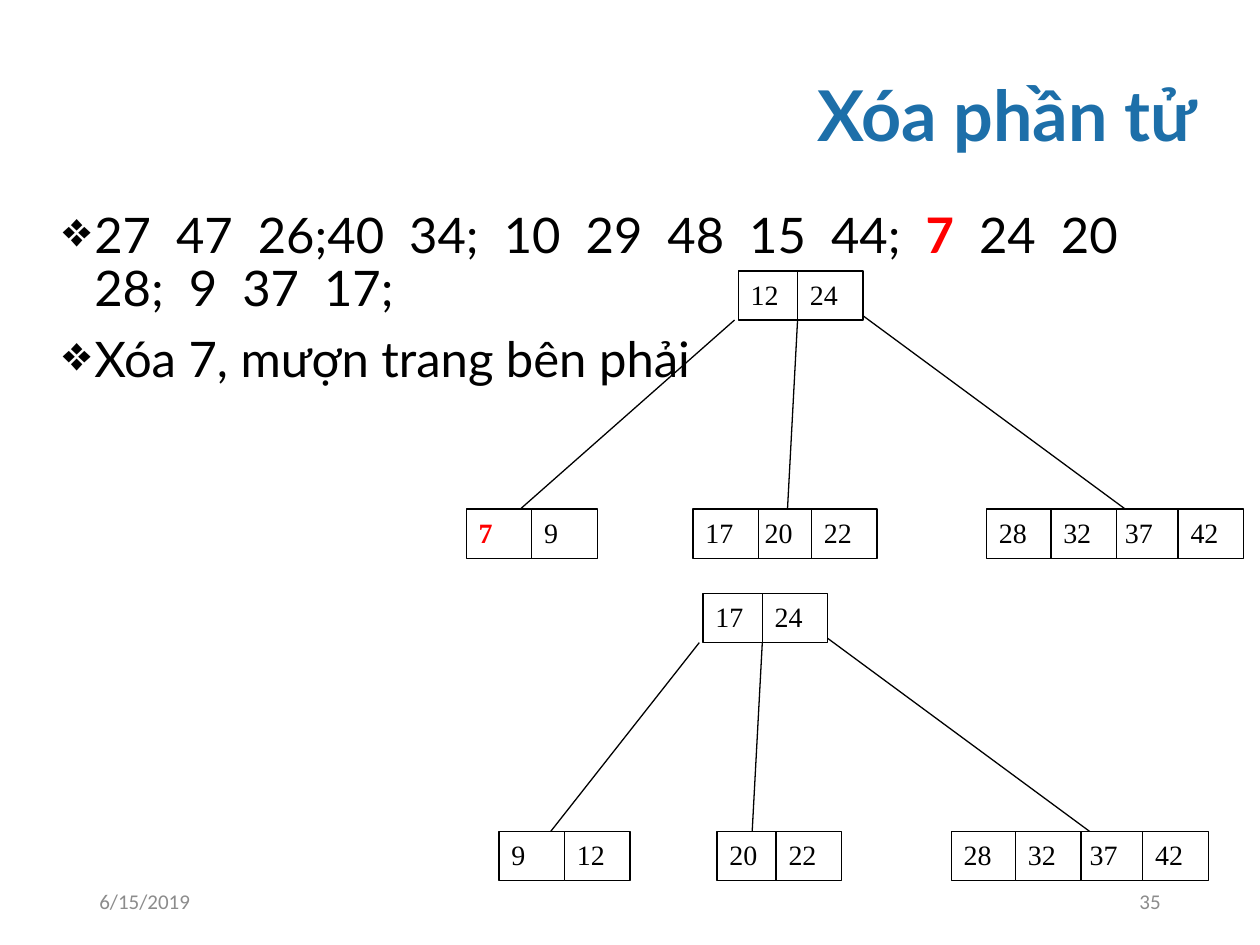
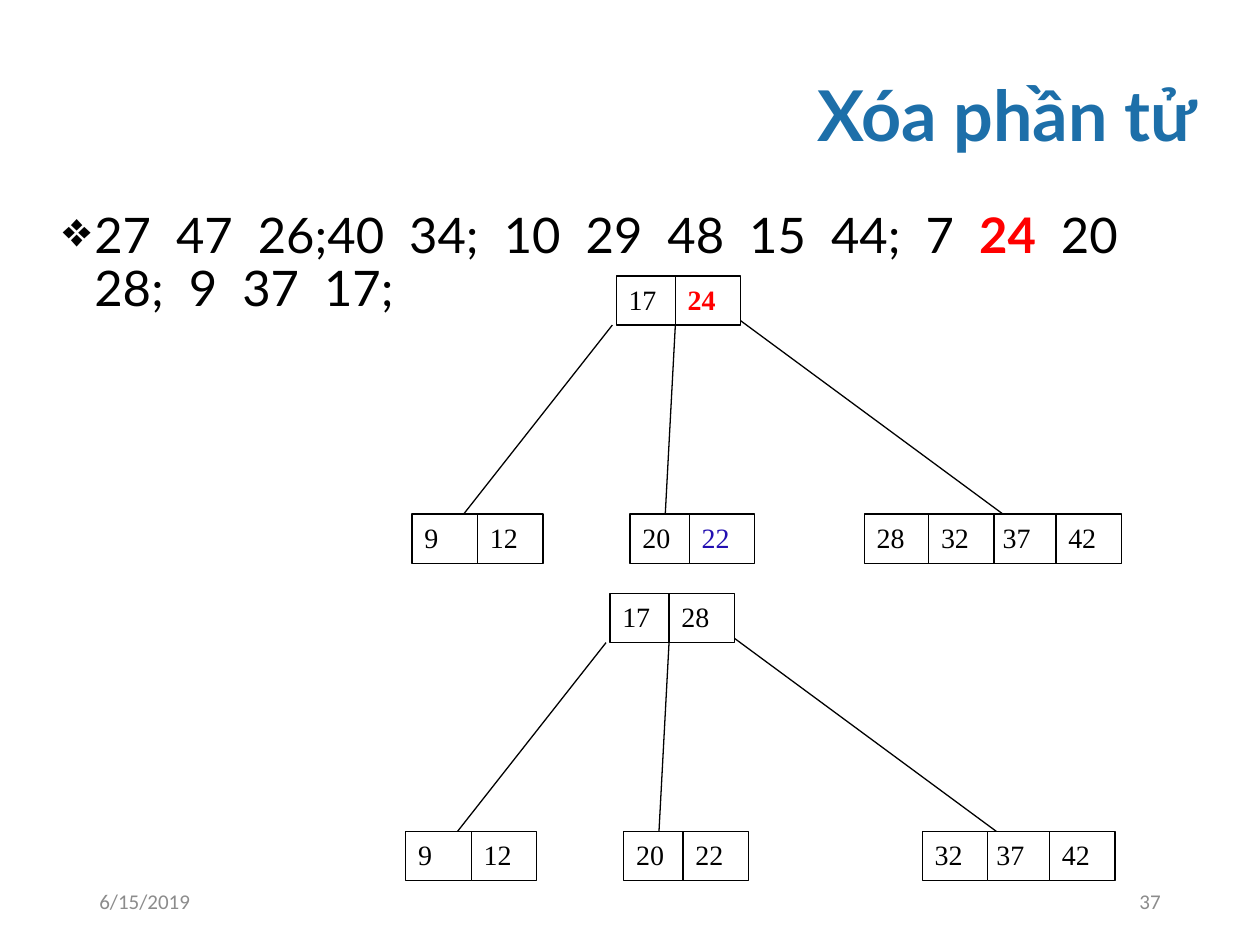
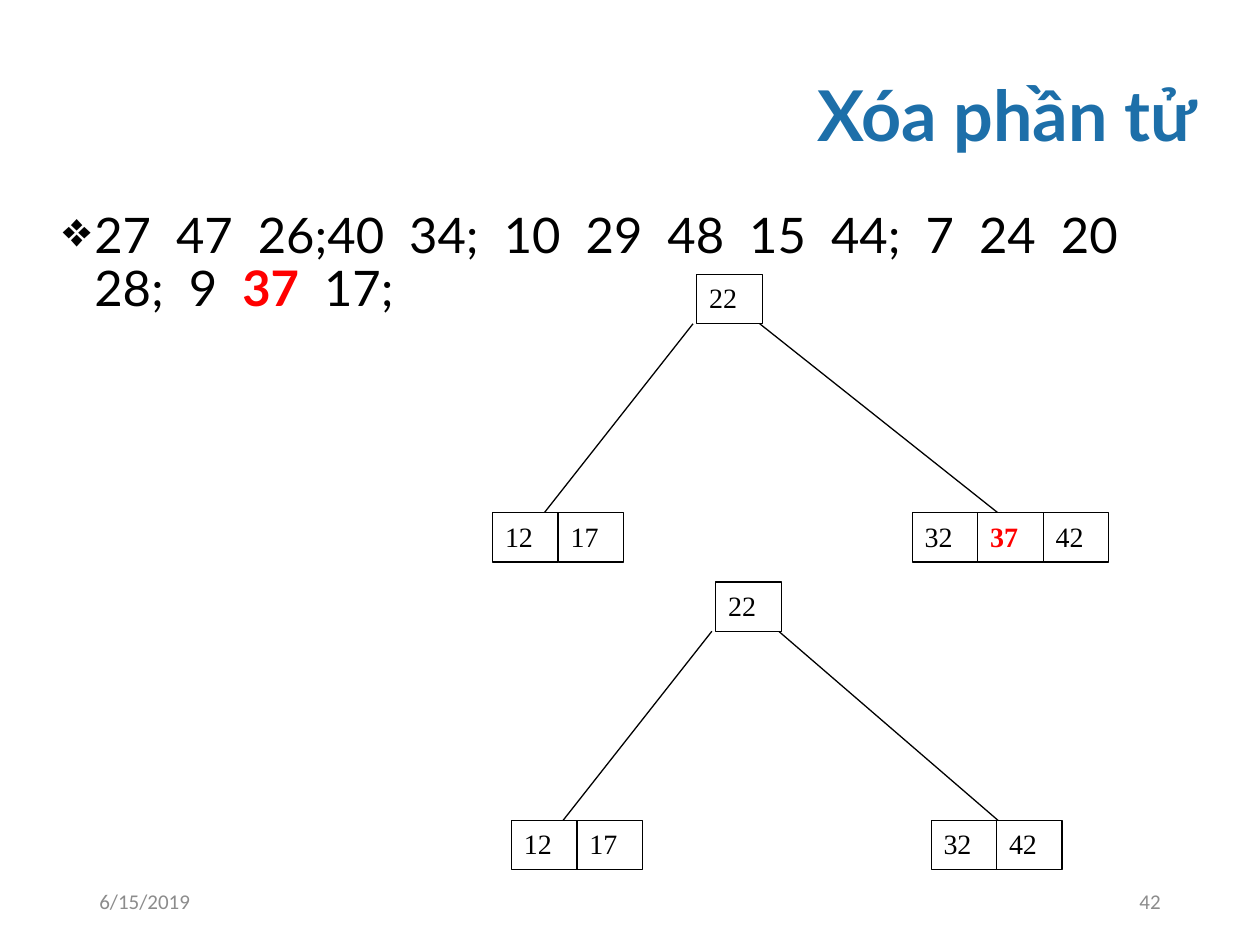
from lxml import etree
from pptx import Presentation
from pptx.dml.color import RGBColor
from pptx.enum.shapes import MSO_CONNECTOR, MSO_SHAPE
from pptx.enum.text import MSO_ANCHOR, MSO_AUTO_SIZE, PP_ALIGN
from pptx.oxml.ns import qn
from pptx.util import Inches, Pt

RECTANGLE = MSO_SHAPE.RECTANGLE
STRAIGHT = MSO_CONNECTOR.STRAIGHT
TOP, MIDDLE = MSO_ANCHOR.TOP, MSO_ANCHOR.MIDDLE
LEFT, RIGHT = PP_ALIGN.LEFT, PP_ALIGN.RIGHT
COLORS = {
    "title": "1D6FA9",
    "text": "000000",
    "footer": "8C8C8C",
    "removed": "FF0000",
    "moved": "220FB1",
    "paper": "FFFFFF",
}

presentation = Presentation()
presentation.slide_width = Inches(10)
presentation.slide_height = Inches(7.5)
unit = presentation.slide_width / 100
margin, content_width = 4, 92
cell_width, cell_height = 5.2, 3.9
leaf_drop = 18.9
covered_keys = ("20", "37")


def grid(*lengths):
    return [round(length * unit) for length in lengths]


def add_run(paragraph, text, size, font, color, bold=False):
    run = paragraph.add_run()
    run.text = text
    run.font.size = Pt(size)
    run.font.name = font
    run.font.bold = bold
    run.font.color.rgb = RGBColor.from_string(COLORS[color])


narrow = [4.7]
wide = [5.2]
four_keys = [5.1, 4.9, 5.2]
left_branch = (-0.3, 3.9, -12.1, -16.2)
middle_branch = (4.7, 3.9, 3.9, 1.1)
right_branch = (9.4, 3.2, 30.7, 19.7)
short_right_branch = (9.4, 3.2, 30.7, 24.8)

slides = [
    {
        "number": "35",
        "bullets": [
            [
                ("27  47  26;40  34;  10  29  48  15  44;  ", "text"),
                ("7", "removed"),
                ("  24  20  28;  9  37  17;", "text"),
            ],
            [("Xóa 7, mượn trang bên phải", "text")],
        ],
        "trees": [
            (58.6, 21.5, ["12", "24"], {"7": "removed"}, [
                ((-0.3, 3.9, -17.3, -21.6), ["7", "9"], wide),
                ((4.7, 3.9, 3.9, -3.6), ["17", "20", "22"], narrow * 2),
                (right_branch, ["28", "32", "37", "42"], four_keys),
            ]),
            (55.8, 47.1, ["17", "24"], {}, [
                (left_branch, ["9", "12"], wide),
                (middle_branch, ["20", "22"], narrow),
                (right_branch, ["28", "32", "37", "42"], four_keys),
            ]),
        ],
    },
    {
        "number": "37",
        "bullets": [
            [
                ("27  47  26;40  34;  10  29  48  15  44;  7  ", "text"),
                ("24", "removed"),
                ("  20  28;  9  37  17;", "text"),
            ],
        ],
        "trees": [
            (48.9, 21.9, ["17", "24"], {"24": "removed", "22": "moved"}, [
                (left_branch, ["9", "12"], wide),
                (middle_branch, ["20", "22"], narrow),
                (right_branch, ["28", "32", "37", "42"], four_keys),
            ]),
            (48.4, 47.1, ["17", "28"], {}, [
                (left_branch, ["9", "12"], wide),
                (middle_branch, ["20", "22"], narrow),
                (short_right_branch, ["32", "37", "42"], four_keys[1:]),
            ]),
        ],
    },
    {
        "number": "42",
        "bullets": [
            [
                ("27  47  26;40  34;  10  29  48  15  44;  7  24  20  28;  9  ", "text"),
                ("37", "removed"),
                ("  17;", "text"),
            ],
        ],
        "trees": [
            (55.3, 21.8, ["22"], {"37": "removed"}, [
                (left_branch, ["12", "17"], wide),
                ((5, 3.9, 23.9, 17.1), ["32", "37", "42"], wide * 2),
            ]),
            (56.8, 46.2, ["22"], {}, [
                (left_branch, ["12", "17"], wide),
                ((5, 3.9, 22.4, 17.1), ["32", "42"], wide),
            ]),
        ],
    },
]

for content in slides:
    slide = presentation.slides.add_slide(presentation.slide_layouts[5])

    title = slide.shapes.title
    title.left, title.top, title.width, title.height = grid(margin, 4, content_width, 10.8)
    title.text_frame.auto_size = MSO_AUTO_SIZE.NONE
    title.text_frame.vertical_anchor = MIDDLE
    paragraph = title.text_frame.paragraphs[0]
    paragraph.alignment = RIGHT
    paragraph.line_spacing = 0.9
    add_run(paragraph, "Xóa phần tử", 40, "Lato", "title", True)

    body = slide.shapes.add_textbox(*grid(margin, 16.3, content_width, 51.7))
    body.text_frame.word_wrap = True
    for index, runs in enumerate(content["bullets"]):
        paragraph = body.text_frame.add_paragraph() if index else body.text_frame.paragraphs[0]
        properties = paragraph._p.get_or_add_pPr()
        properties.set("marL", str(Inches(0.25)))
        properties.set("indent", str(-Inches(0.25)))
        etree.SubElement(properties, qn("a:buChar")).set("char", "❖")
        paragraph.line_spacing = 0.9
        paragraph.space_before = Pt(10 if index else 0)
        for text, color in runs:
            add_run(paragraph, text, 28, "Lato", color, color == "removed")

    for left, text, alignment in [(6.9, "6/15/2019", LEFT), (70.6, content["number"], RIGHT)]:
        footer = slide.shapes.add_textbox(*grid(left, 69.5, 22.5, 4))
        footer.text_frame.word_wrap = True
        footer.text_frame.vertical_anchor = MIDDLE
        paragraph = footer.text_frame.paragraphs[0]
        paragraph.alignment = alignment
        add_run(paragraph, text, 12, "Calibri", "footer")

    for root_left, root_top, root_keys, accents, branches in content["trees"]:
        leaf_top = root_top + leaf_drop
        nodes = [(root_left, root_top, root_keys, narrow)]
        for (start_x, start_y, end_x, leaf_x), keys, steps in branches:
            connector = slide.shapes.add_connector(STRAIGHT, *grid(
                root_left + start_x, root_top + start_y, root_left + end_x, leaf_top))
            connector.line.color.rgb = RGBColor.from_string(COLORS["text"])
            connector.line.width = Pt(0.75)
            etree.SubElement(connector._element.spPr, qn("a:effectLst"))
            nodes.append((root_left + leaf_x, leaf_top, keys, steps))

        for node_left, node_top, keys, steps in nodes:
            cells = [(key, node_left + sum(steps[:index])) for index, key in enumerate(keys)]
            cells.sort(key=lambda cell: cell[0] not in covered_keys)
            for key, left in cells:
                shape = slide.shapes.add_shape(
                    RECTANGLE, *grid(left, node_top, cell_width, cell_height))
                shape.shadow.inherit = False
                shape.fill.solid()
                shape.fill.fore_color.rgb = RGBColor.from_string(COLORS["paper"])
                shape.line.color.rgb = RGBColor.from_string(COLORS["text"])
                shape.line.width = Pt(0.75)
                shape.text_frame.vertical_anchor = TOP
                paragraph = shape.text_frame.paragraphs[0]
                paragraph.alignment = LEFT
                color = accents.get(key, "text")
                add_run(paragraph, key, 16, "Times New Roman", color, color == "removed")

presentation.save("out.pptx")
